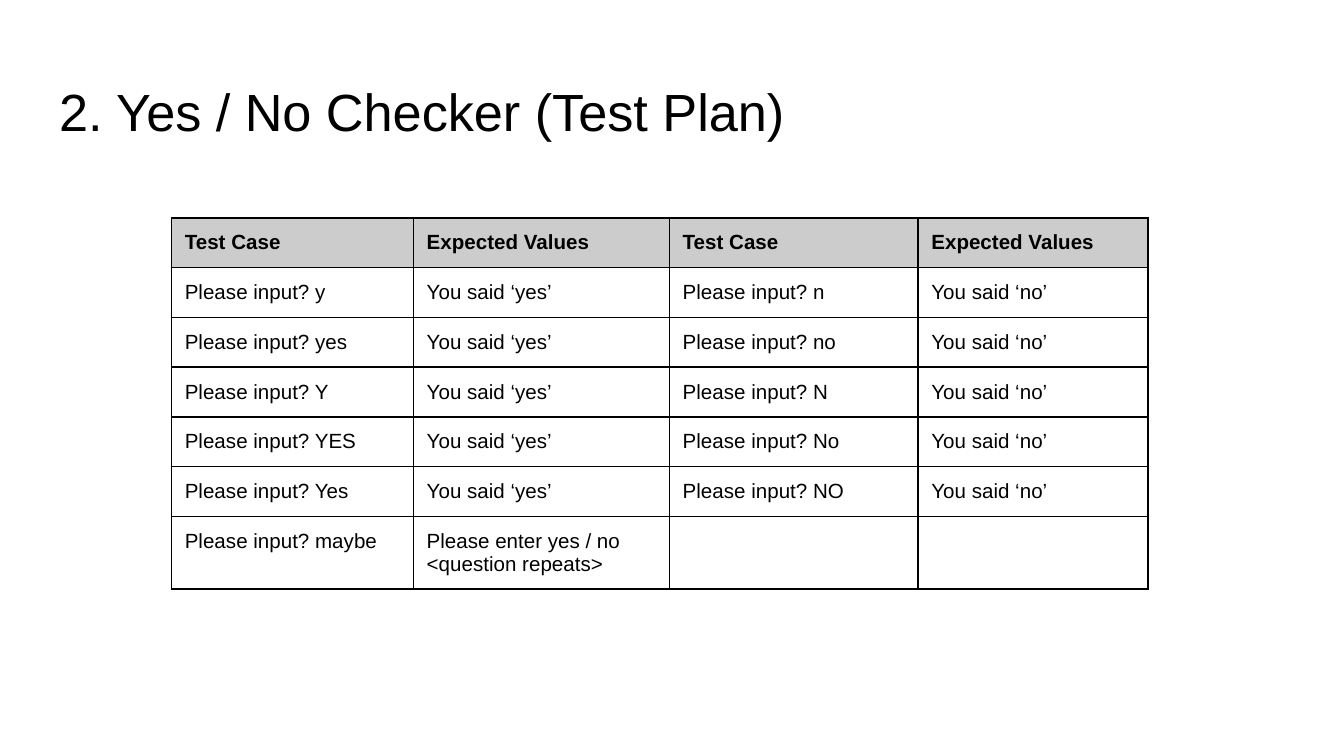
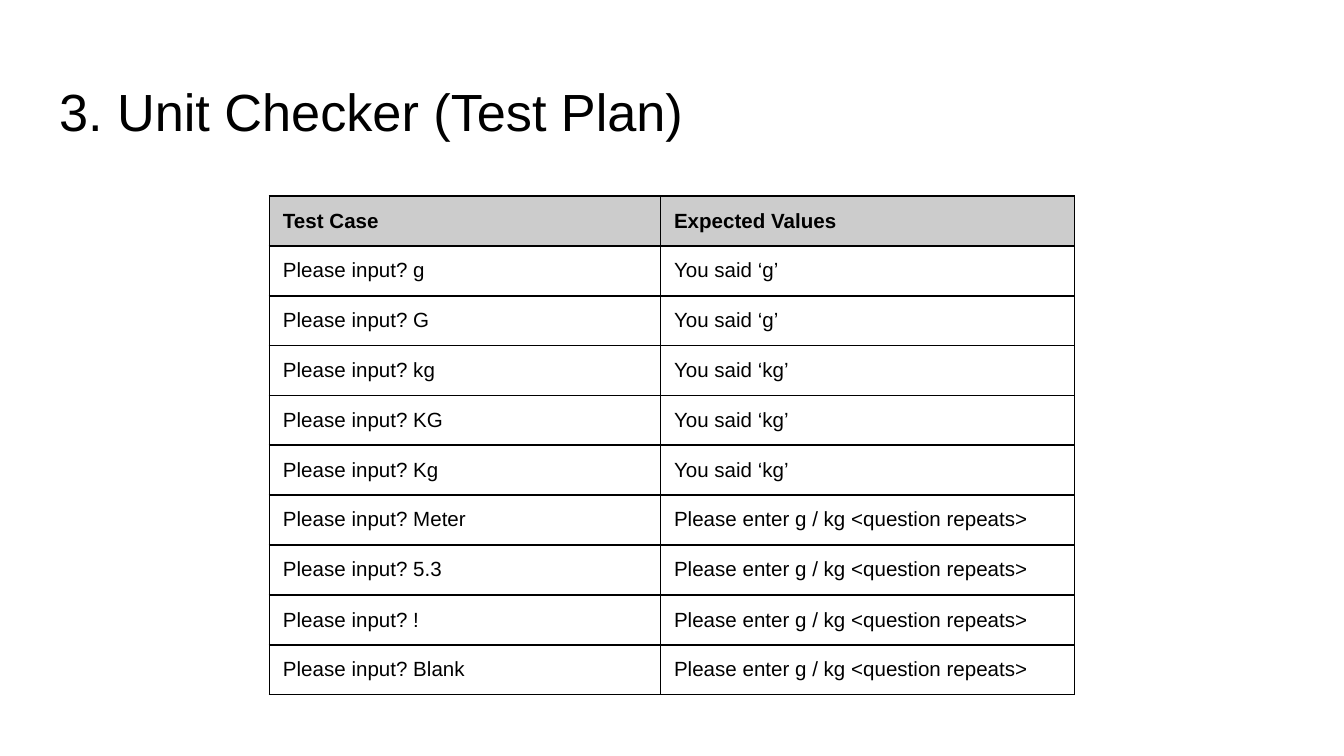
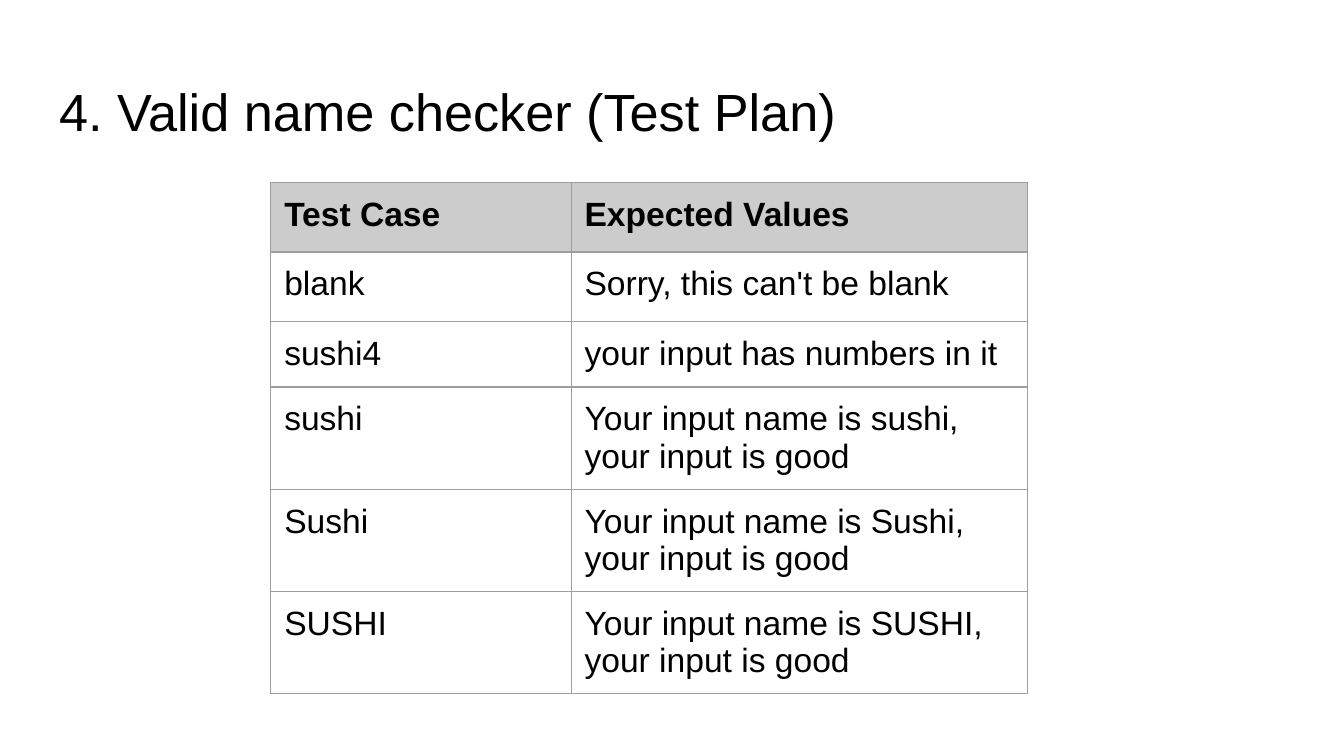
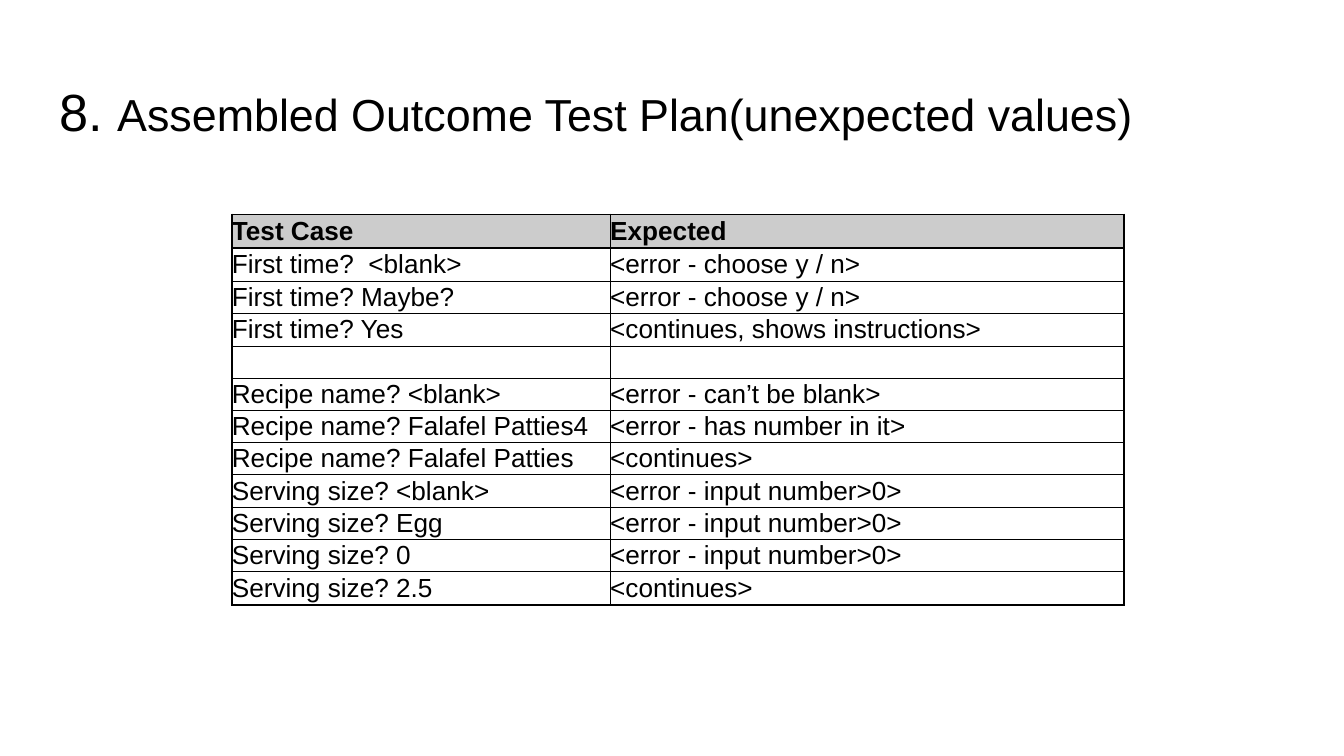
from lxml import etree
from pptx import Presentation
from pptx.dml.color import RGBColor
from pptx.enum.text import MSO_ANCHOR, MSO_AUTO_SIZE, PP_ALIGN
from pptx.oxml.ns import qn
from pptx.util import Pt

PX = 4572  # EMU in one px, 200 px to the inch
FONT = "Arial"
BLACK, HEADER_GREY, BORDER_GREY = "000000", "CCCCCC", "9E9E9E"
TOP, MIDDLE = MSO_ANCHOR.TOP, MSO_ANCHOR.MIDDLE
LEFT = PP_ALIGN.LEFT
NO_AUTO_SIZE = MSO_AUTO_SIZE.NONE
TITLE_ONLY = 5

YES_NO_ROWS = [
    ("Test Case", "Expected Values", "Test Case", "Expected Values"),
    *[
        (f"Please input? {yes}", "You said ‘yes’", f"Please input? {no}", "You said ‘no’")
        for yes, no in [("y", "n"), ("yes", "no"), ("Y", "N"), ("YES", "No"), ("Yes", "NO")]
    ],
    ("Please input? maybe", "Please enter yes / no <question repeats>", "", ""),
]
UNIT_ROWS = [
    ("Test Case", "Expected Values"),
    *[
        (f"Please input? {entry}", f"You said ‘{entry.lower()}’")
        for entry in ("g", "G", "kg", "KG", "Kg")
    ],
    *[
        (f"Please input? {entry}", "Please enter g / kg <question repeats>")
        for entry in ("Meter", "5.3", "!", "Blank")
    ],
]
NAME_ROWS = [
    ("Test Case", "Expected Values"),
    ("blank", "Sorry, this can't be blank"),
    ("sushi4", "your input has numbers in it"),
    *[
        (name, f"Your input name is {name}, your input is good")
        for name in ("sushi", "Sushi", "SUSHI")
    ],
]
OUTCOME_ROWS = [
    ("Test Case", "Expected"),
    ("First time?  <blank>", "<error - choose y / n>"),
    ("First time? Maybe?", "<error - choose y / n>"),
    ("First time? Yes", "<continues, shows instructions>"),
    ("", ""),
    ("Recipe name? <blank>", "<error - can’t be blank>"),
    ("Recipe name? Falafel Patties4", "<error - has number in it>"),
    ("Recipe name? Falafel Patties", "<continues>"),
    ("Serving size? <blank>", "<error - input number>0>"),
    ("Serving size? Egg", "<error - input number>0>"),
    ("Serving size? 0", "<error - input number>0>"),
    ("Serving size? 2.5", "<continues>"),
]


def rgb(color):
    return RGBColor.from_string(color)


def set_margins(box, margin):
    box.margin_left = box.margin_right = box.margin_top = box.margin_bottom = margin * PX


def add_border(cell, side, color, weight):
    line = etree.SubElement(cell._tc.get_or_add_tcPr(), qn(f"a:ln{side}"), w=str(Pt(weight)))
    fill = etree.SubElement(line, qn("a:solidFill"))
    etree.SubElement(fill, qn("a:srgbClr"), val=color)


class TestPlanDeck:
    def __init__(self):
        self.deck = Presentation()
        self.deck.slide_width, self.deck.slide_height = 2000 * PX, 1125 * PX
        self.page = None

    def add_page(self, *title_parts, width=1864):
        """Start a slide whose title is made of (text, size) parts."""
        self.page = self.deck.slides.add_slide(self.deck.slide_layouts[TITLE_ONLY])
        title = self.page.shapes.title
        title.left, title.top, title.width, title.height = 68 * PX, 98 * PX, width * PX, 126 * PX
        frame = title.text_frame
        frame.auto_size, frame.vertical_anchor, frame.word_wrap = NO_AUTO_SIZE, TOP, True
        set_margins(frame, 20)
        para = frame.paragraphs[0]
        para.alignment = LEFT
        for text, size in title_parts:
            span = para.add_run()
            span.text = text
            self.style_span(span, size)

    def style_span(self, span, size, bold=False):
        span.font.name, span.font.size, span.font.bold = FONT, Pt(size), bold
        span.font.color.rgb = rgb(BLACK)

    def add_table(self, left, top, widths, heights, rows, size, margin=20, anchor=TOP,
                  color=BLACK, verticals=None, horizontals=None, weight=1):
        """Draw a table; verticals and horizontals are the weights of its grid lines."""
        verticals = verticals or [weight] * (len(widths) + 1)
        horizontals = horizontals or [weight] * (len(heights) + 1)
        table = self.page.shapes.add_table(
            len(rows), len(widths), left * PX, top * PX, sum(widths) * PX, sum(heights) * PX
        ).table
        table.horz_banding = False
        for column, width in zip(table.columns, widths):
            column.width = width * PX
        for row, height in zip(table.rows, heights):
            row.height = height * PX
        for r, texts in enumerate(rows):
            for c, text in enumerate(texts):
                cell = table.cell(r, c)
                self.fill_cell(cell, text, size, header=r == 0)
                set_margins(cell, margin)
                cell.vertical_anchor = anchor
                edges = zip("LRTB", (*verticals[c:c + 2], *horizontals[r:r + 2]))
                for side, edge in edges:
                    add_border(cell, side, color, edge)
                if r == 0:
                    cell.fill.solid()
                    cell.fill.fore_color.rgb = rgb(HEADER_GREY)
                else:
                    cell.fill.background()

    def fill_cell(self, cell, text, size, header):
        para = cell.text_frame.paragraphs[0]
        if text:
            para.text = text
            self.style_span(para.runs[0], size, bold=header)
        else:
            etree.SubElement(para._p, qn("a:endParaRPr"), sz=str(size * 100))


def main():
    plan = TestPlanDeck()

    plan.add_page(("2. Yes / No Checker (Test Plan)", 28))
    plan.add_table(255, 324, [360, 381, 370, 342], [74] * 6 + [107], YES_NO_ROWS, 11)

    plan.add_page(("3. Unit Checker (Test Plan)", 28))
    plan.add_table(401, 292, [582, 616], [74] * 7 + [75] + [74] * 2, UNIT_ROWS, 11)

    plan.add_page(("4. Valid name checker (Test Plan)", 28))
    plan.add_table(403, 271, [447, 679], [104, 103, 98] + [152] * 3, NAME_ROWS, 18,
                   color=BORDER_GREY, weight=0.75)

    plan.add_page(("8. ", 28), ("Assembled Outcome Test Plan(unexpected values)", 24), width=1712)
    plan.add_table(345, 319, [563, 765], [50] * 2 + [48] * 9 + [50], OUTCOME_ROWS, 14,
                   margin=0, anchor=MIDDLE, verticals=[1, 0.5, 1],
                   horizontals=[1] * 3 + [0.5] * 9 + [1])

    plan.deck.save("out.pptx")


if __name__ == "__main__":
    main()
